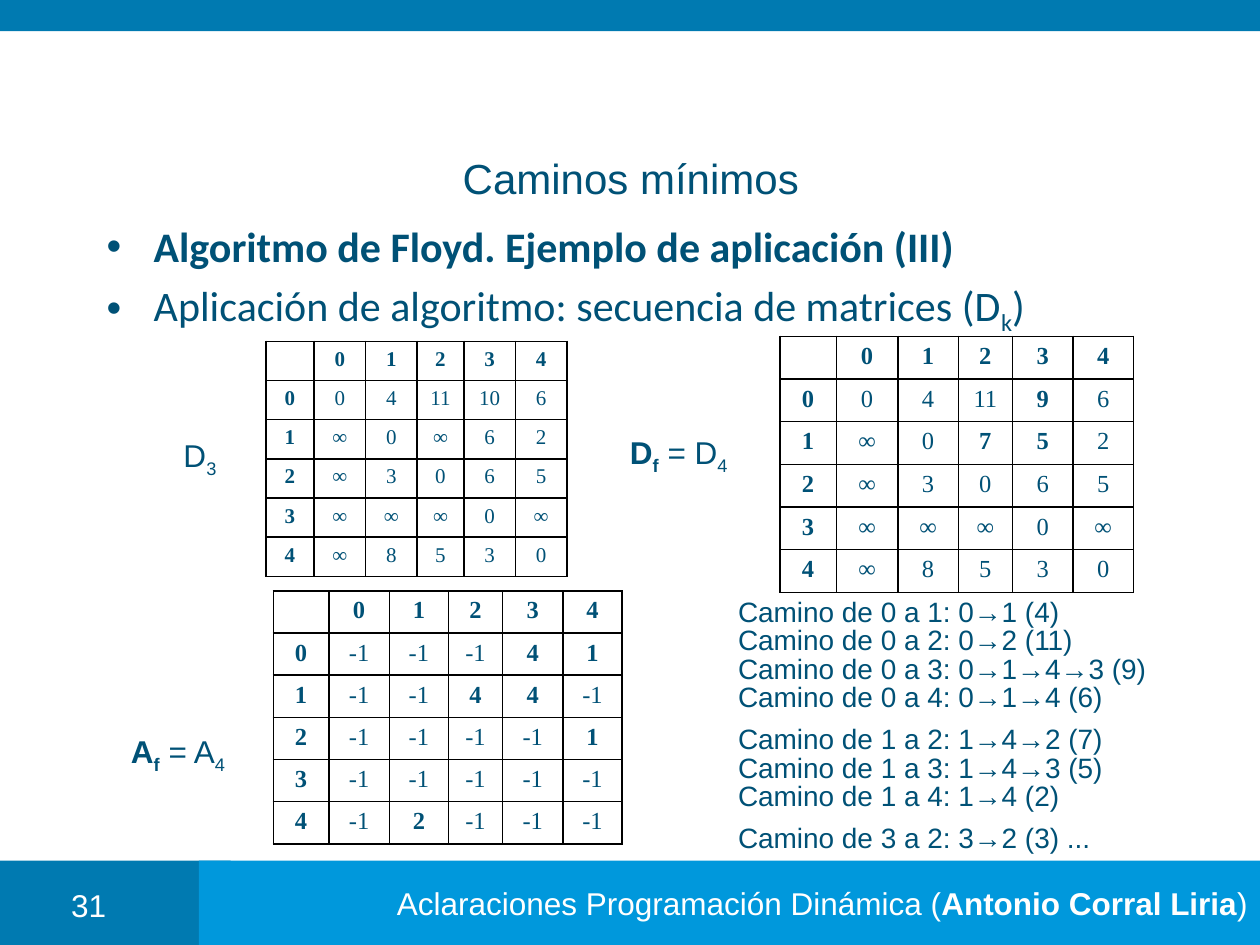
from dataclasses import dataclass

from lxml import etree
from pptx import Presentation
from pptx.dml.color import RGBColor
from pptx.enum.shapes import MSO_SHAPE
from pptx.enum.text import MSO_ANCHOR, PP_ALIGN
from pptx.oxml.ns import qn
from pptx.util import Cm, Pt

RECTANGLE = MSO_SHAPE.RECTANGLE
MIDDLE = MSO_ANCHOR.MIDDLE
LEFT, CENTER, RIGHT = PP_ALIGN.LEFT, PP_ALIGN.CENTER, PP_ALIGN.RIGHT
BOLD, SUB, BOLD_SUB = "b", "s", "bs"


@dataclass(frozen=True)
class Theme:
    """Colours, fonts and type sizes of the deck."""
    ink: RGBColor = RGBColor(0x00, 0x51, 0x76)
    dark: RGBColor = RGBColor(0x00, 0x7A, 0xB1)
    bright: RGBColor = RGBColor(0x00, 0x98, 0xDC)
    white: RGBColor = RGBColor(0xFF, 0xFF, 0xFF)
    grid: str = "000000"
    sans: str = "Arial"
    body: str = "Calibri"
    serif: str = "Times New Roman"
    heading: int = 24
    label: int = 18
    path_list: int = 16
    matrix: int = 14
    small_matrix: int = 12


THEME = Theme()

DISTANCES_3 = """0 4 11 10 6
∞ 0 ∞ 6 2
∞ 3 0 6 5
∞ ∞ ∞ 0 ∞
∞ 8 5 3 0"""
DISTANCES_FINAL = """0 4 11 *9 6
∞ 0 *7 *5 2
∞ 3 0 6 5
∞ ∞ ∞ 0 ∞
∞ 8 5 3 0"""
PREDECESSORS_FINAL = """-1 -1 -1 *4 *1
-1 -1 *4 *4 -1
-1 -1 -1 -1 *1
-1 -1 -1 -1 -1
-1 *2 -1 -1 -1"""
PATH_GROUPS = [
    ["Camino de 0 a 1: 0→1 (4)", "Camino de 0 a 2: 0→2 (11)",
     "Camino de 0 a 3: 0→1→4→3 (9)", "Camino de 0 a 4: 0→1→4 (6)"],
    ["Camino de 1 a 2: 1→4→2 (7)", "Camino de 1 a 3: 1→4→3 (5)",
     "Camino de 1 a 4: 1→4 (2)"],
    ["Camino de 3 a 2: 3→2 (3) ..."],
]


def format_span(span, size, color=THEME.ink, font=THEME.sans, style=""):
    """Apply font, size, colour, weight and subscript to one run."""
    span.font.name = font
    span.font.size = Pt(size)
    span.font.color.rgb = color
    span.font.bold = "b" in style
    if "s" in style:
        span.font._element.set("baseline", "-25000")


def fill_para(para, spans, size, color=THEME.ink, font=THEME.sans, align=LEFT):
    """Write (text, style) spans into a paragraph."""
    para.alignment = align
    for text, style in spans:
        span = para.add_run()
        span.text = text
        format_span(span, size, color, font, style)


def add_bar(page, left, top, width, height, color):
    """Draw a plain filled band."""
    bar = page.shapes.add_shape(RECTANGLE, Cm(left), Cm(top), Cm(width), Cm(height))
    bar.shadow.inherit = False
    bar.fill.solid()
    bar.fill.fore_color.rgb = color
    bar.line.fill.background()
    return bar


def add_box(page, left, top, width, height):
    """Add a wrapping text box and return its text frame."""
    box = page.shapes.add_textbox(Cm(left), Cm(top), Cm(width), Cm(height))
    box.text_frame.word_wrap = True
    return box.text_frame


def add_label(page, left, top, width, spans):
    """Name a matrix beside its table."""
    frame = add_box(page, left, top, width, 1.02)
    fill_para(frame.paragraphs[0], spans, THEME.label)


def add_bullets(page, items):
    """Add the bulleted statements below the title."""
    frame = add_box(page, 1.9, 4.32, 22.99, 13)
    for index, spans in enumerate(items):
        para = frame.add_paragraph() if index else frame.paragraphs[0]
        fill_para(para, spans, THEME.heading, font=THEME.body)
        para.space_before = Pt(4.8)
        properties = para._p.get_or_add_pPr()
        properties.set("marL", str(Cm(0.95)))
        properties.set("indent", str(Cm(-0.95)))
        etree.SubElement(properties, qn("a:buFont"), typeface=THEME.sans)
        etree.SubElement(properties, qn("a:buChar"), char="•")


def add_paths(page, groups):
    """List the shortest paths, with a gap between groups."""
    frame = add_box(page, 14.63, 11.96, 9.93, 5.36)
    frame.text = "\n".join(line for group in groups for line in group)
    starts = {group[0] for group in groups[1:]}
    for para in frame.paragraphs:
        para.line_spacing = 0.85
        if para.text in starts:
            para.space_before = Pt(7.5)
        format_span(para.runs[0], THEME.path_list)


def set_borders(cell):
    """Give a cell a thin line on every side."""
    properties = cell._tc.get_or_add_tcPr()
    for index, side in enumerate(("lnL", "lnR", "lnT", "lnB")):
        line = etree.Element(qn(f"a:{side}"), w=str(Pt(1)))
        fill = etree.SubElement(line, qn("a:solidFill"))
        etree.SubElement(fill, qn("a:srgbClr"), val=THEME.grid)
        properties.insert(index, line)


def add_matrix(page, left, top, widths, row_height, values, size):
    """Add a matrix with numbered rows and columns; a star marks bold values."""
    body = [line.split() for line in values.splitlines()]
    numbers = [f"*{index}" for index in range(len(body))]
    rows = [["", *numbers]] + [[number, *row] for number, row in zip(numbers, body)]
    table = page.shapes.add_table(
        len(rows), len(widths), Cm(left), Cm(top),
        Cm(sum(widths)), Cm(row_height * len(rows))).table
    table.first_row = table.horz_banding = False
    for column, width in zip(table.columns, widths):
        column.width = Cm(width)
    for row_index, row in enumerate(rows):
        table.rows[row_index].height = Cm(row_height)
        for column_index, value in enumerate(row):
            cell = table.cell(row_index, column_index)
            cell.fill.background()
            set_borders(cell)
            para = cell.text_frame.paragraphs[0]
            if value:
                style = BOLD if value.startswith("*") else ""
                fill_para(para, [(value.lstrip("*"), style)], size,
                          font=THEME.serif, align=CENTER)
            else:
                para._p.get_or_add_endParaRPr().set("sz", str(size * 100))


def add_frame(page):
    """Add the bands, the footer, the page number and the title."""
    add_bar(page, 0, 17.35, 4.65, 1.7, THEME.dark)
    footer = add_bar(page, 4.01, 17.35, 21.39, 1.7, THEME.bright).text_frame
    footer.vertical_anchor = MIDDLE
    fill_para(footer.paragraphs[0],
              [("Aclaraciones Programación Dinámica (", ""),
               ("Antonio Corral Liria", BOLD), (")", "")],
              THEME.label, THEME.white, align=RIGHT)
    add_bar(page, 0, 0, 25.4, 0.63, THEME.dark)
    number = add_box(page, 0.89, 17.73, 1.8, 0.81)
    fill_para(number.paragraphs[0], [("31", "")], THEME.label, THEME.white, align=CENTER)
    title = add_box(page, 2.11, 3.05, 21.21, 1.07)
    title.vertical_anchor = MIDDLE
    fill_para(title.paragraphs[0], [("Caminos mínimos", "")], THEME.heading, align=CENTER)


def main():
    """Build the slide and save the deck."""
    deck = Presentation()
    deck.slide_width, deck.slide_height = Cm(25.4), Cm(19.05)
    page = deck.slides.add_slide(deck.slide_layouts[6])
    add_frame(page)
    add_bullets(page, [
        [("Algoritmo de Floyd. Ejemplo de aplicación (III)", BOLD)],
        [("Aplicación de algoritmo: secuencia de matrices (D", ""), ("k", SUB), (")", "")],
    ])
    add_matrix(page, 5.36, 6.88, [0.97, 1.04, 1.04, 0.94, 1.04, 1.04], 0.79,
               DISTANCES_3, THEME.small_matrix)
    add_label(page, 3.45, 8.66, 1.3, [("D", ""), ("3", SUB)])
    add_matrix(page, 5.51, 11.91, [1.12, 1.22, 1.19, 1.09, 1.22, 1.19], 0.85,
               PREDECESSORS_FINAL, THEME.matrix)
    for letter, left, top in (("D", 12.45, 8.61), ("A", 2.39, 14.63)):
        add_label(page, left, top, 2.74,
                  [(letter, BOLD), ("f", BOLD_SUB), (f" = {letter}", ""), ("4", SUB)])
    add_matrix(page, 15.72, 6.78, [1.14, 1.24, 1.22, 1.09, 1.22, 1.22], 0.86,
               DISTANCES_FINAL, THEME.matrix)
    add_paths(page, PATH_GROUPS)
    deck.save("out.pptx")


if __name__ == "__main__":
    main()
